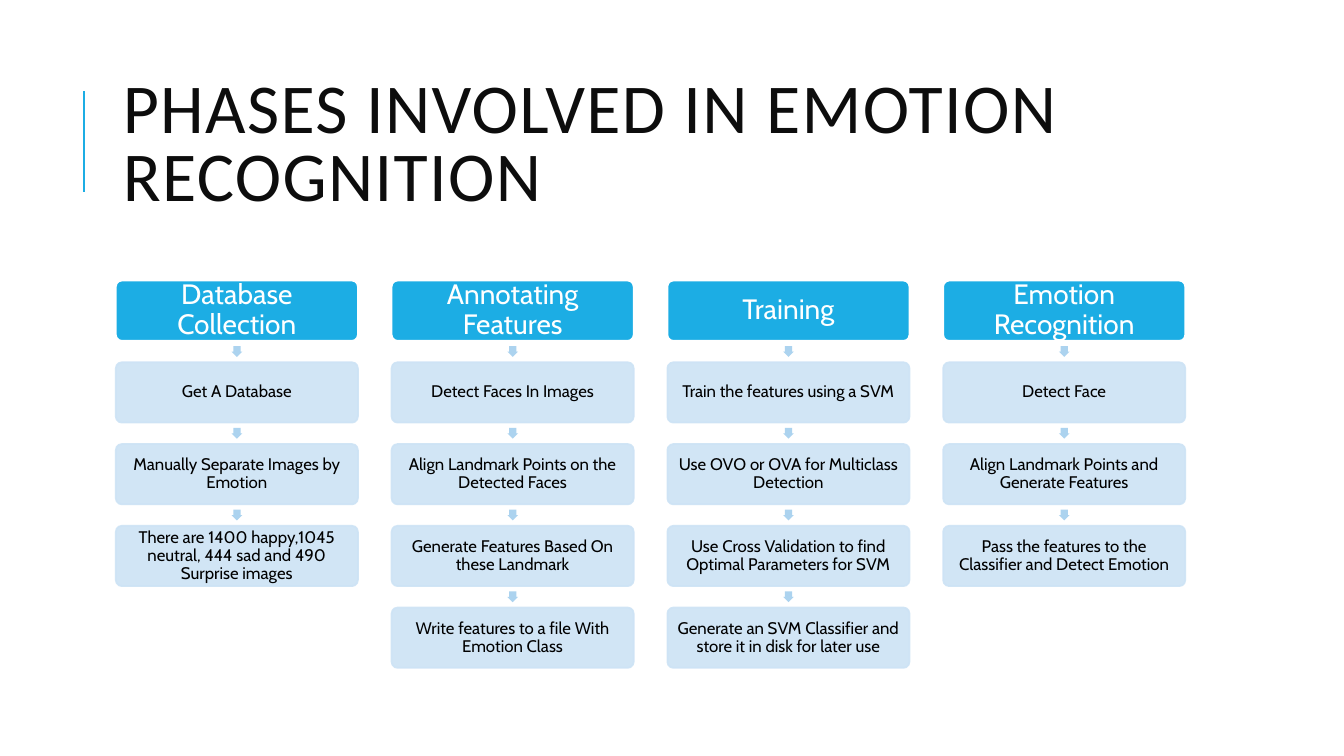
from lxml.etree import SubElement
from pptx import Presentation
from pptx.dml.color import RGBColor
from pptx.enum.shapes import MSO_CONNECTOR, MSO_SHAPE
from pptx.enum.text import MSO_ANCHOR, MSO_AUTO_SIZE, PP_ALIGN
from pptx.oxml.ns import qn
from pptx.util import Cm, Pt

COLORS = {"head": "1CADE4", "step": "CDE3F5", "arrow": "ACD3EF",
          "title": "0D0D0D", "white": "FFFFFF", "black": "000000"}
PHASES = {
    "Database Collection": [
        "Get A Database",
        "Manually Separate Images by Emotion",
        "There are 1400 happy,1045 neutral, 444 sad and 490 Surprise images"],
    "Annotating Features": [
        "Detect Faces In Images",
        "Align Landmark Points on the Detected Faces",
        "Generate Features Based On these Landmark",
        "Write features to a file With Emotion Class"],
    "Training": [
        "Train the features using a SVM",
        "Use OVO or OVA for Multiclass Detection",
        "Use Cross Validation to find Optimal Parameters for SVM",
        "Generate an SVM Classifier and store it in disk for later use"],
    "Emotion Recognition": [
        "Detect Face",
        "Align Landmark Points and Generate Features",
        "Pass the features to the Classifier and Detect Emotion"],
}
LEFT, TOP = 2.92, 7.07
WIDTH, HEIGHT = 6.1, 1.52
COL_STEP, ROW_STEP = 6.95, 2.06
ARROW = 0.27


def color(name):
    return RGBColor.from_string(COLORS[name])


def add_box(x, y, text, fill, edge, ink, size):
    """Add a rounded box with centred text; x and y are in cm."""
    box = slide.shapes.add_shape(MSO_SHAPE.ROUNDED_RECTANGLE,
                                 Cm(x), Cm(y), Cm(WIDTH), Cm(HEIGHT))
    box.adjustments[0] = 0.1
    box.shadow.inherit = False
    box.fill.solid()
    box.fill.fore_color.rgb = color(fill)
    box.line.color.rgb = color(edge)
    box.line.width = Pt(1.25)
    frame = box.text_frame
    frame.word_wrap = True
    frame.vertical_anchor = MSO_ANCHOR.MIDDLE
    frame.margin_left = frame.margin_right = Cm(0.1)
    frame.margin_top = frame.margin_bottom = Cm(0.1)
    para = frame.paragraphs[0]
    para.text = text
    para.alignment = PP_ALIGN.CENTER
    para.line_spacing = 0.9
    para.font.name = "Cabin"
    para.font.size = Pt(size)
    para.font.color.rgb = color(ink)
    return box


prs = Presentation()
prs.slide_width, prs.slide_height = Cm(33.87), Cm(19.05)
slide = prs.slides.add_slide(prs.slide_layouts[5])

# Title and the rule beside it
rule = slide.shapes.add_connector(MSO_CONNECTOR.STRAIGHT,
                                  Cm(2.12), Cm(4.83), Cm(2.12), Cm(2.29))
rule.line.color.rgb = color("head")
rule.line.width = Pt(1.5)
SubElement(rule._element.spPr, qn("a:effectLst"))

title = slide.shapes.title
title.left, title.top = Cm(2.84), Cm(1.63)
title.width, title.height = Cm(27), Cm(4.17)
frame = title.text_frame
frame.word_wrap = True
frame.auto_size = MSO_AUTO_SIZE.NONE
frame.vertical_anchor = MSO_ANCHOR.MIDDLE
para = frame.paragraphs[0]
para.text = "PHASES INVOLVED IN EMOTION RECOGNITION"
para.alignment = PP_ALIGN.LEFT
para.line_spacing = 0.8
para.font.name = "Calibri"
para.font.size = Pt(50)
para.font.color.rgb = color("title")
para.runs[0]._r.get_or_add_rPr().set("spc", "100")

# One column per phase: a heading, then an arrow and a box for each step
for col, (phase, steps) in enumerate(PHASES.items()):
    x = LEFT + col * COL_STEP
    add_box(x, TOP, phase, "head", "white", "white", 20)
    for row, step in enumerate(steps, 1):
        y = TOP + row * ROW_STEP
        mid = y - (ROW_STEP - HEIGHT) / 2
        arrow = slide.shapes.add_shape(
            MSO_SHAPE.RIGHT_ARROW, Cm(x + (WIDTH - ARROW) / 2),
            Cm(mid - ARROW / 2), Cm(ARROW), Cm(ARROW))
        arrow.rotation = 90
        arrow.adjustments[0] = 0.67
        arrow.shadow.inherit = False
        arrow.fill.solid()
        arrow.fill.fore_color.rgb = color("arrow")
        arrow.line.fill.background()

        box = add_box(x, y, step, "step", "step", "black", 12)
        for tint in box._element.spPr.iter(qn("a:srgbClr")):
            SubElement(tint, qn("a:alpha"), val="90000")

prs.save("out.pptx")
